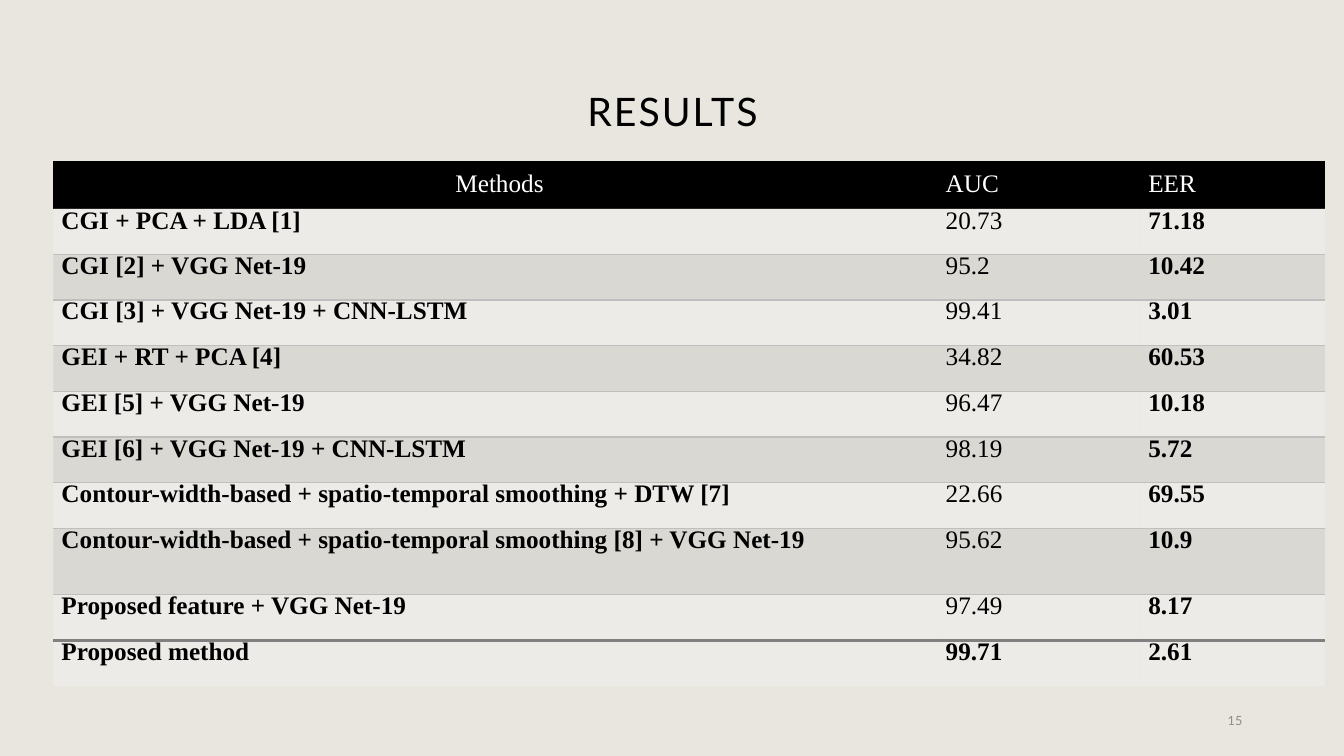
from typing import NamedTuple

from lxml.etree import SubElement
from pptx import Presentation
from pptx.dml.color import RGBColor
from pptx.enum.text import MSO_ANCHOR as Anchor, PP_ALIGN as Align
from pptx.oxml import parse_xml
from pptx.oxml.ns import nsdecls, qn
from pptx.table import _Cell as Cell
from pptx.util import Inches, Pt

BLACK = RGBColor(0x00, 0x00, 0x00)
WHITE = RGBColor(0xFF, 0xFF, 0xFF)
SAND = RGBColor(0xE9, 0xE6, 0xDF)
PALE = RGBColor(0xF2, 0xF2, 0xF2)
SILVER = RGBColor(0xBF, 0xBF, 0xBF)
GREY = RGBColor(0x80, 0x80, 0x80)
MUTED = RGBColor(0x8C, 0x8C, 0x8C)

NO_STYLE = "{2D5ABB26-0587-4C30-8999-92F81FD0307C}"
HEADS = ("Methods", "AUC", "EER")
WIDTHS = (8.77, 2.01, 1.83)
HEIGHT, HEAD, TALL = 5.21, 0.47, 0.66


class Result(NamedTuple):
    method: str
    auc: str
    eer: str


RESULTS = (
    Result("CGI + PCA + LDA [1]", "20.73", "71.18"),
    Result("CGI [2] + VGG Net-19", "95.2", "10.42"),
    Result("CGI [3] + VGG Net-19 + CNN-LSTM", "99.41", "3.01"),
    Result("GEI + RT + PCA [4]", "34.82", "60.53"),
    Result("GEI [5] + VGG Net-19", "96.47", "10.18"),
    Result("GEI [6] + VGG Net-19 + CNN-LSTM", "98.19", "5.72"),
    Result("Contour-width-based + spatio-temporal smoothing + DTW [7]",
           "22.66", "69.55"),
    Result("Contour-width-based + spatio-temporal smoothing [8] + VGG Net-19",
           "95.62", "10.9"),
    Result("Proposed feature + VGG Net-19", "97.49", "8.17"),
    Result("Proposed method", "99.71", "2.61"),
)
LAST = len(RESULTS)
LONG = LAST - 2


def write(cell: Cell, text: str, color: RGBColor, bold: bool,
          lead: float) -> None:
    cell.margin_left = cell.margin_right = cell.margin_bottom = 0
    cell.margin_top = Inches(0.13)
    cell.text = text
    para = cell.text_frame.paragraphs[0]
    para.line_spacing = Pt(lead)
    para.space_after = Pt(6)
    props = para.font
    props.name, props.size, props.bold = "Times New Roman", Pt(18), bold
    props.color.rgb = color
    for node in cell.text_frame._txBody.iter(qn("a:pPr")):
        node.set("marL", str(Inches(0.08)))
        node.set("indent", "0")


def paint(cell: Cell, color: RGBColor, alpha: int = 100) -> None:
    """Fill a cell, with its opacity in percent."""
    cell.fill.solid()
    cell.fill.fore_color.rgb = color
    if alpha < 100:
        for node in cell._tc.tcPr.iter(qn("a:srgbClr")):
            SubElement(node, qn("a:alpha")).set("val", str(alpha * 1000))


def rule(cell: Cell, side: str, color: RGBColor, width: float) -> None:
    """Draw one border: side is T or B."""
    cell._tc.tcPr.insert(0, parse_xml(
        f'<a:ln{side} {nsdecls("a")} w="{Pt(width)}"><a:solidFill>'
        f'<a:srgbClr val="{color}"/></a:solidFill></a:ln{side}>'))


def add_results(slide) -> None:
    frame = slide.shapes.add_table(
        LAST + 1, len(HEADS), Inches(0.53), Inches(1.6),
        Inches(sum(WIDTHS)), Inches(HEIGHT))
    table = frame.table
    table.horz_banding = False
    for node in frame.element.iter(qn("a:tableStyleId")):
        node.text = NO_STYLE
    for col, width in zip(table.columns, WIDTHS):
        col.width = Inches(width)
    plain = (HEIGHT - HEAD - TALL) / (LAST - 1)
    special = {0: HEAD, LONG: TALL}
    for r, row in enumerate(table.rows):
        row.height = Inches(special.get(r, plain))

    for c, head in enumerate(HEADS):
        cell = table.cell(0, c)
        write(cell, head, WHITE, False, 9.1)
        cell.vertical_anchor = Anchor.MIDDLE
        paint(cell, BLACK)
    table.cell(0, 0).text_frame.paragraphs[0].alignment = Align.CENTER

    for r, result in enumerate(RESULTS, 1):
        for c, text in enumerate(result):
            cell = table.cell(r, c)
            bold = c != 1 or r == LAST
            write(cell, text, BLACK, bold, 9.1 if r == 1 else 8.8)
            if r % 2 or r == LAST:
                paint(cell, PALE, 45)
            else:
                paint(cell, SILVER, 35)
            if r >= LAST - 1:
                rule(cell, "T" if r == LAST else "B", GREY, 2.25)
            else:
                rule(cell, "B" if r % 2 else "T", SILVER, 1)


def add_title(slide) -> None:
    title = slide.shapes.title
    title.left, title.top = Inches(0.92), Inches(0.4)
    title.width, title.height = Inches(11.5), Inches(1.45)
    title.text_frame.text = "RESULTS"
    title.text_frame.vertical_anchor = Anchor.MIDDLE
    para = title.text_frame.paragraphs[0]
    para.alignment, para.line_spacing = Align.CENTER, 0.9
    para.font.name, para.font.size = "Lato", Pt(28)
    para.font.color.rgb = BLACK
    for node in title.element.iter(qn("a:defRPr")):
        node.set("spc", "150")


def add_number(slide) -> None:
    box = slide.shapes.add_textbox(
        Inches(9.42), Inches(6.95), Inches(3), Inches(0.4)).text_frame
    box.word_wrap = True
    box.vertical_anchor = Anchor.MIDDLE
    box.text = "15"
    para = box.paragraphs[0]
    para.alignment, para.space_after = Align.RIGHT, Pt(6)
    para.font.name, para.font.size = "Lato", Pt(9)
    para.font.color.rgb = MUTED


def main() -> None:
    deck = Presentation()
    deck.slide_width, deck.slide_height = Inches(13.33), Inches(7.5)
    slide = deck.slides.add_slide(deck.slide_layouts[5])
    slide.background.fill.solid()
    slide.background.fill.fore_color.rgb = SAND
    add_title(slide)
    add_number(slide)
    add_results(slide)
    deck.save("out.pptx")


if __name__ == "__main__":
    main()
